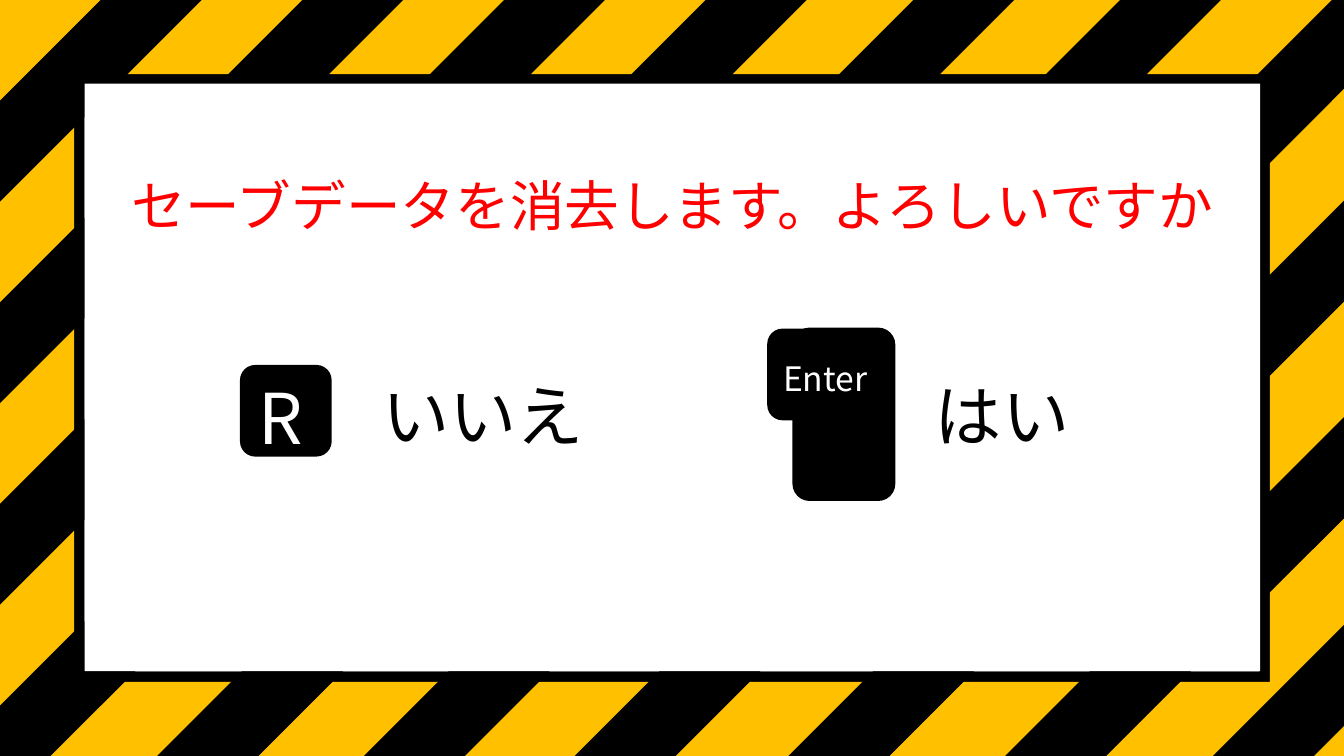
from pptx import Presentation
from pptx.dml.color import RGBColor
from pptx.enum.shapes import MSO_SHAPE
from pptx.enum.text import MSO_ANCHOR, PP_ALIGN
from pptx.oxml.ns import qn
from pptx.util import Inches, Pt
from lxml.etree import SubElement

BLACK = RGBColor(0x00, 0x00, 0x00)
AMBER = RGBColor(0xFF, 0xC0, 0x00)
WHITE = RGBColor(0xFF, 0xFF, 0xFF)
RED = RGBColor(0xFF, 0x00, 0x00)
FONT = "Noto Sans CJK JP"
COLS, ROWS = 13.33, 7.5

# First column, first row and number of stripes; each run climbs to the right.
RUNS = [
    (0, 0, 1), (0, 2, 1), (2, 0, 1), (0, 4, 1), (4, 0, 1), (0, 6, 2),
    (6, 0, 1), (8.06, 0, 1), (1.06, 7, 3), (10.11, 0, 1), (3.11, 7, 3),
    (11.21, 1, 2), (5.2, 7, 3), (7.49, 6.83, 6), (9.66, 6.81, 4),
]


class Board:
    """One slide on a grid of one-inch columns and rows."""

    def __init__(self, deck):
        self.slide = deck.slides.add_slide(deck.slide_layouts[5])
        self.shapes = self.slide.shapes

    def block(self, kind, col, row, wide, high, fill):
        shape = self.shapes.add_shape(kind, *map(Inches, (col, row, wide, high)))
        shape.shadow.inherit = False
        shape.fill.solid()
        shape.fill.fore_color.rgb = fill
        shape.line.fill.background()
        return shape

    def frame(self, share, fill):
        """Border the slide; share is the band's part of the height."""
        shape = self.block(MSO_SHAPE.FRAME, 0, 0, COLS, ROWS, fill)
        shape.adjustments[0] = share

    def stripe(self, col, row):
        return self.block(MSO_SHAPE.DIAGONAL_STRIPE, col, row, 2, 2, BLACK)

    def key(self, col, row, wide, high):
        self.block(MSO_SHAPE.ROUNDED_RECTANGLE, col, row, wide, high, BLACK)

    def letter(self, box, text, size, color, align, wrap=True):
        """Put styled text into a box."""
        frame = box.text_frame
        frame.text = text
        frame.word_wrap = wrap
        frame.vertical_anchor = MSO_ANCHOR.MIDDLE
        line = frame.paragraphs[0]
        line.alignment = align
        for run in line.runs:
            run.font.size = Pt(size)
            run.font.name = FONT
            run.font.color.rgb = color
            east = SubElement(run.font._element, qn("a:ea"))
            east.set("typeface", FONT)

    def label(self, col, row, wide, high, text, size, color,
              align=PP_ALIGN.LEFT, wrap=False):
        box = self.shapes.add_textbox(*map(Inches, (col, row, wide, high)))
        self.letter(box, text, size, color, align, wrap)

    def title(self, row, high, text, size, color):
        """Fill the title across the slide and bring it to the front."""
        box = self.shapes.title
        box.left, box.top = 0, Inches(row)
        box.width, box.height = Inches(COLS), Inches(high)
        self.letter(box, text, size, color, PP_ALIGN.CENTER)
        self.shapes._spTree.append(box._element)


def main():
    deck = Presentation()
    deck.slide_width, deck.slide_height = Inches(COLS), Inches(ROWS)
    board = Board(deck)

    board.frame(0.112, BLACK)
    board.frame(0.098, AMBER)
    for col, row, count in RUNS:
        for step in range(count):
            board.stripe(col + step, row - step)
    board.stripe(11.74, 5.79).rotation = 180
    board.block(MSO_SHAPE.RECTANGLE, 0.84, 0.83, 11.66, 5.83, WHITE)

    board.title(1.65, 0.77, "セーブデータを消去します。よろしいですか", 39, RED)
    for mid, text in ((4.79, "いいえ"), (9.94, "はい")):
        board.label(mid - 1.2, 3.66, 2.4, 0.91, text, 48, BLACK,
                    PP_ALIGN.CENTER, True)

    board.key(7.61, 3.26, 1.17, 0.91)
    board.key(7.86, 3.25, 1.02, 1.72)
    board.label(7.67, 3.5, 1.16, 0.5, "Enter", 24, WHITE)
    board.key(2.38, 3.62, 0.91, 0.91)
    board.label(2.47, 3.66, 0.74, 0.94, "R", 50, WHITE)

    deck.save("out.pptx")


if __name__ == "__main__":
    main()
